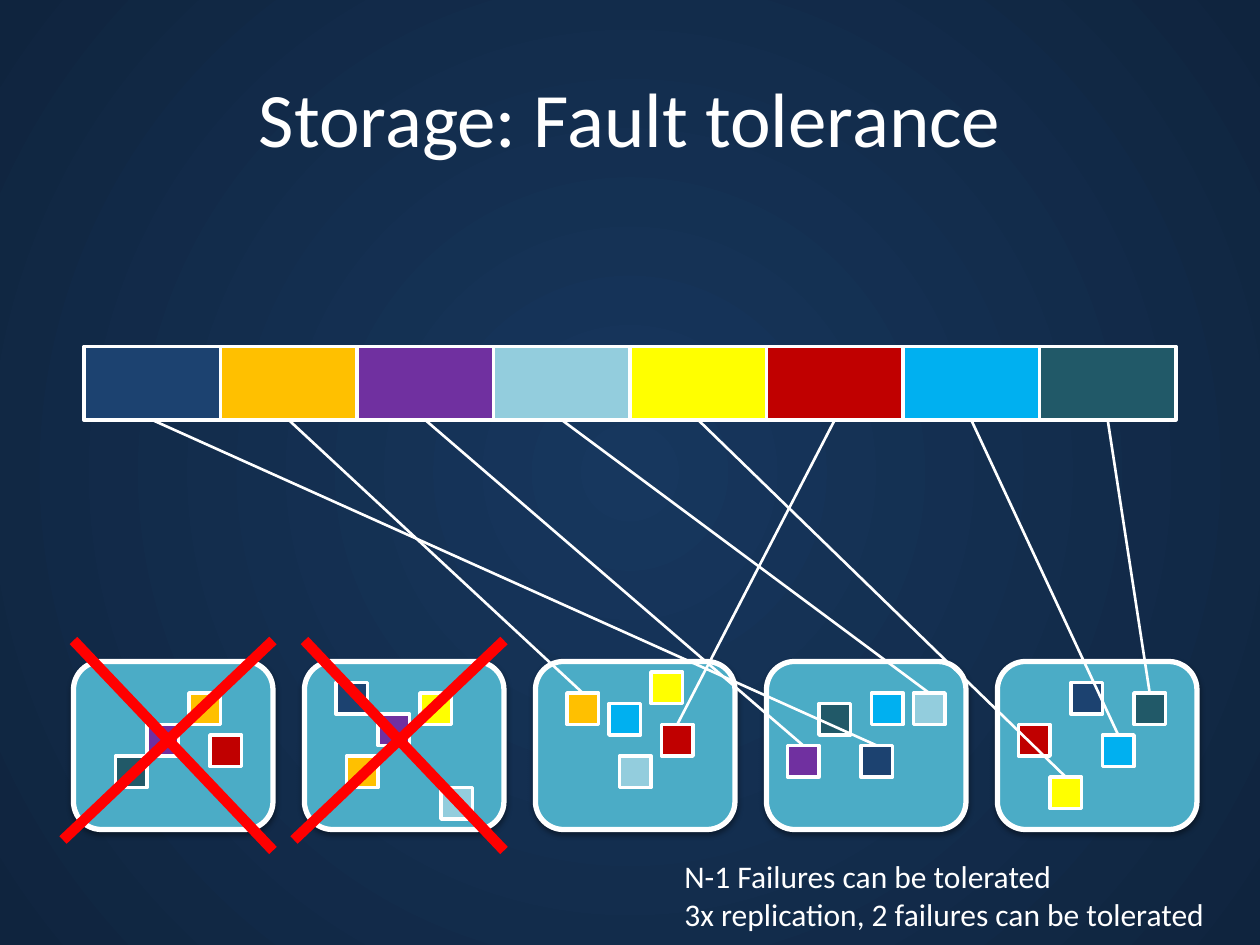
from lxml import etree
from pptx import Presentation, util as u
from pptx.dml.color import RGBColor
from pptx.enum import shapes, text
from pptx.oxml import parse_xml
from pptx.oxml.ns import nsdecls, qn

TITLE = "Storage: Fault tolerance"
NOTES = ["N-1 Failures can be tolerated",
         "3x replication, 2 failures can be tolerated"]
BLOCKS = [
    {"color": "1C4270", "replicas": [(102, 65), (82, 71), (32, 65)], "read": 1},
    {"color": "FFC000", "replicas": [(33, 72), (18, 66), (54, 66)], "read": 2},
    {"color": "7030A0", "replicas": [(75, 71), (14, 69), (36, 68)], "read": 0},
    {"color": "93CDDD", "replicas": [(59, 72), (87, 66), (42, 75)], "read": 1},
    {"color": "FFFF00", "replicas": [(62, 64), (100, 74), (40, 66)], "read": 1},
    {"color": "C00000", "replicas": [(97, 69), (20, 70), (63, 69)], "read": 2},
    {"color": "00B0F0", "replicas": [(83, 66), (105, 70), (58, 67)], "read": 1},
    {"color": "215968", "replicas": [(11, 72), (108, 66), (78, 67)], "read": 1},
]
COPIES = 3
NODES = 5
FAILED_NODES = [0, 1]
THEME = {"font": "Calibri", "title": 44, "body": 18, "text": "FFFFFF",
         "line": "FFFFFF", "node": "4BACC6", "cross": "FF0000",
         "background": ["17375E", "0F243E"]}

GRID = 2.54 / 12
BLOCK_X, BLOCK_Y, BLOCK_W, BLOCK_H = 8, 33, 13, 7
NODE_X, NODE_Y, NODE_W, NODE_H, NODE_STEP = 7, 63, 19, 16, 22
REPLICA = 3
CROSS = [((19, -2), (-1, 17)), ((0, -2), (19, 18))]

SHADOW = (f'<a:effectLst {nsdecls("a")}><a:outerShdw blurRad="40000" dist="20000" '
          'dir="5400000" rotWithShape="0"><a:srgbClr val="000000">'
          '<a:alpha val="38000"/></a:srgbClr></a:outerShdw></a:effectLst>')
RADIAL = (f'<a:path {nsdecls("a")} path="circle">'
          '<a:fillToRect l="50000" t="50000" r="50000" b="50000"/></a:path>')


def grid(*values):
    return [u.Cm(v * GRID) for v in values]


def rgb(color):
    return RGBColor.from_string(color)


def add_text(p, content, size, align=text.PP_ALIGN.LEFT):
    p.alignment = align
    r = p.add_run()
    r.text = content
    r.font.name = THEME["font"]
    r.font.size = u.Pt(size)
    r.font.color.rgb = rgb(THEME["text"])


def add_box(s, kind, box, fill, width):
    sp = s.shapes.add_shape(kind, *grid(*box))
    sp.shadow.inherit = False
    sp.fill.solid()
    sp.fill.fore_color.rgb = rgb(fill)
    sp.line.color.rgb = rgb(THEME["line"])
    sp.line.width = u.Pt(width)
    return sp


def add_line(s, start, end, color, width):
    cx = s.shapes.add_connector(shapes.MSO_CONNECTOR.STRAIGHT, *grid(*start, *end))
    cx.line.color.rgb = rgb(color)
    cx.line.width = u.Pt(width)
    etree.SubElement(cx._element.spPr, qn("a:effectLst"))
    return cx


def paint_background(s):
    fill = s.background.fill
    fill.gradient()
    for stop, color in zip(fill.gradient_stops, THEME["background"]):
        stop.color.rgb = rgb(color)
    gradient = s._element.find(".//" + qn("a:gradFill"))
    gradient.replace(gradient.find(qn("a:lin")), parse_xml(RADIAL))


def main():
    prs = Presentation()
    prs.slide_width, prs.slide_height = u.Cm(25.4), u.Cm(19.05)
    s = prs.slides.add_slide(prs.slide_layouts[5])
    paint_background(s)

    title = s.shapes.title
    title.left, title.top, title.width, title.height = grid(6, 3.6, 108, 15)
    tf = title.text_frame
    tf.vertical_anchor = text.MSO_ANCHOR.MIDDLE
    add_text(tf.paragraphs[0], TITLE, THEME["title"], text.PP_ALIGN.CENTER)

    rect = shapes.MSO_SHAPE.RECTANGLE
    sources = [add_box(s, rect, (BLOCK_X + i * BLOCK_W, BLOCK_Y, BLOCK_W, BLOCK_H),
                       block["color"], 2) for i, block in enumerate(BLOCKS)]

    node_lefts = [NODE_X + i * NODE_STEP for i in range(NODES)]
    for x in node_lefts:
        node = add_box(s, shapes.MSO_SHAPE.ROUNDED_RECTANGLE,
                       (x, NODE_Y, NODE_W, NODE_H), THEME["node"], 3)
        sp_pr = node._element.spPr
        sp_pr.replace(sp_pr.find(qn("a:effectLst")), parse_xml(SHADOW))

    replicas = {}
    for c in range(COPIES):
        for i, block in enumerate(BLOCKS):
            replicas[i, c] = add_box(s, rect, (*block["replicas"][c], REPLICA, REPLICA),
                                     block["color"], 2)

    for n in FAILED_NODES:
        for stroke in CROSS:
            start, end = [(node_lefts[n] + x, NODE_Y + y) for x, y in stroke]
            add_line(s, start, end, THEME["cross"], 6)

    for i, block in enumerate(BLOCKS):
        x, y = block["replicas"][block["read"]]
        start = (BLOCK_X + (i + 0.5) * BLOCK_W, BLOCK_Y + BLOCK_H)
        cx = add_line(s, start, (x + REPLICA / 2, y), THEME["line"], 1.5)
        cx.begin_connect(sources[i], 2)
        cx.end_connect(replicas[i, block["read"]], 0)

    tf = s.shapes.add_textbox(*grid(64, 81, 52.5, 8.5)).text_frame
    tf.word_wrap = False
    tf.auto_size = text.MSO_AUTO_SIZE.SHAPE_TO_FIT_TEXT
    for i, note in enumerate(NOTES):
        p = tf.add_paragraph() if i else tf.paragraphs[0]
        add_text(p, note, THEME["body"])

    prs.save("out.pptx")


if __name__ == "__main__":
    main()
